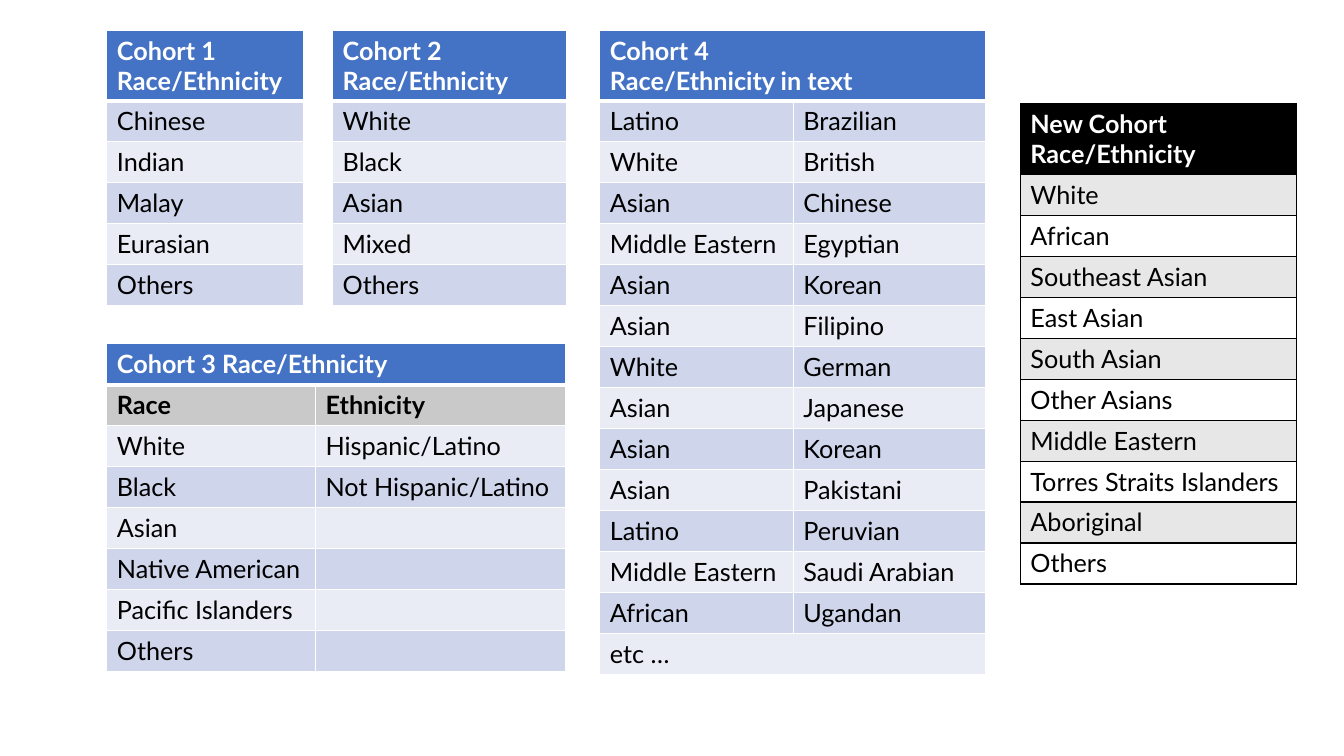
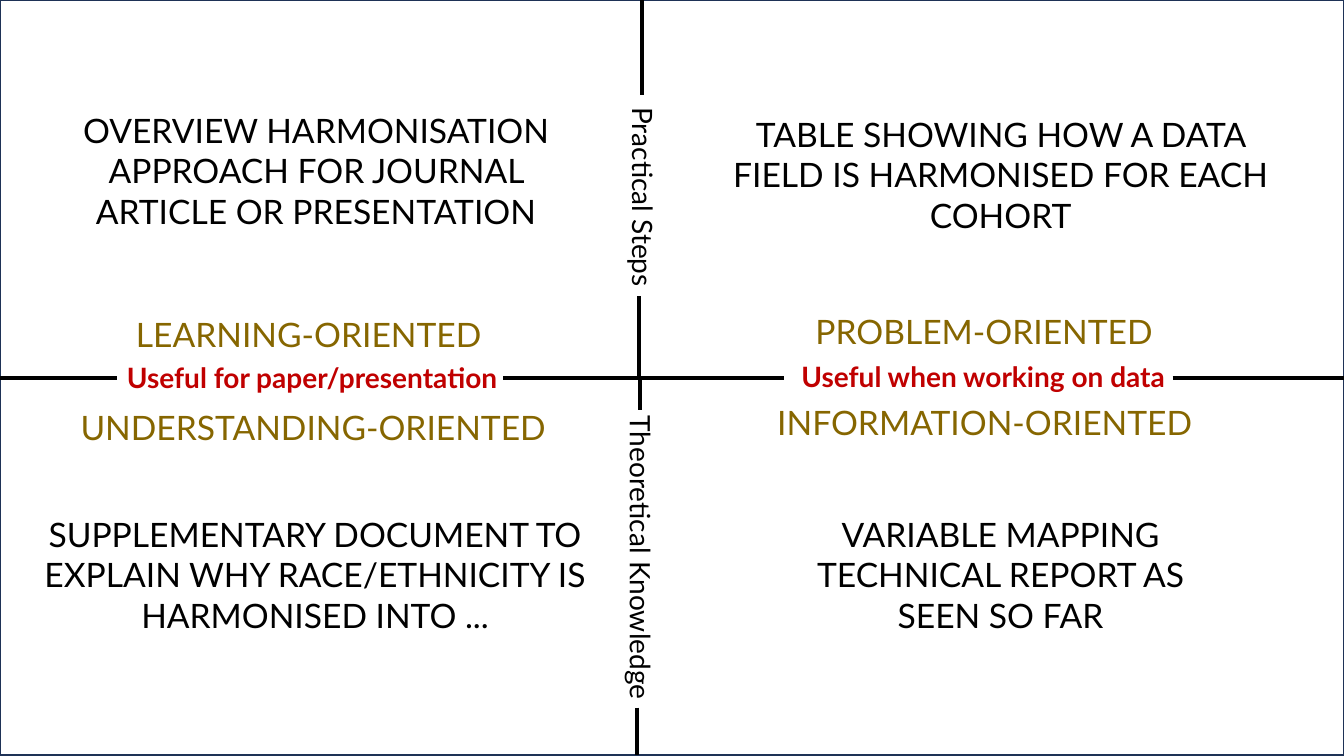
"""Build two slides: cohort race/ethnicity tables and a quadrant of document types."""
from dataclasses import dataclass

from lxml import etree
from pptx import Presentation
from pptx import util as u
from pptx.dml.color import RGBColor
from pptx.enum import shapes, text
from pptx.oxml import ns

WIDE, HIGH = 13.33, 7.5
FONT = "Lato"
BLACK, WHITE, GREY = "000000", "FFFFFF", "C9C9C9"
BLUE, NAVY, GOLD, RED = "4472C4", "1E3256", "866600", "C00000"
ROW, HEAD = 5.42, 9.33
MID = 50


@dataclass(frozen=True)
class Look:
    head: str
    odd: str
    even: str
    edge: str
    rule: float


@dataclass(frozen=True)
class Grid:
    left: float
    top: float
    cols: tuple[float, ...]
    title: tuple[str, ...]
    rows: tuple[tuple[str, ...], ...]
    look: Look
    tall: float = HEAD
    sub: bool = False


@dataclass(frozen=True)
class Style:
    size: int
    color: str
    high: float
    bold: bool = False
    mid: bool = False
    turn: int = 0


@dataclass(frozen=True)
class Label:
    words: str
    left: float
    top: float
    wide: float
    style: Style


BLUES = Look(BLUE, "CFD5EA", "E9EBF5", WHITE, 3)
DARK = Look(BLACK, "E7E7E7", WHITE, BLACK, 1)

BODY = Style(24, BLACK, 17.47, mid=True)
THEME = Style(24, GOLD, 6.67)
NOTE = Style(20, RED, 5.87, bold=True)
AXIS = Style(20, BLACK, 5.87, turn=90)


def single(*words: str) -> tuple[tuple[str, ...], ...]:
    return tuple((word,) for word in words)


GRIDS = (
    Grid(7.95, 4, (14.63,), ("Cohort 1 Race/Ethnicity",),
         single("Chinese", "Indian", "Malay", "Eurasian", "Others"), BLUES),
    Grid(7.95, 45.47, (15.53, 18.6), ("Cohort 3 Race/Ethnicity",), (
        ("Race", "Ethnicity"),
        ("White", "Hispanic/Latino"),
        ("Black", "Not Hispanic/Latino"),
        ("Asian", ""),
        ("Native American", ""),
        ("Pacific Islanders", ""),
        ("Others", ""),
    ), BLUES, ROW, True),
    Grid(24.75, 4, (17.4,), ("Cohort 2 Race/Ethnicity",),
         single("White", "Black", "Asian", "Mixed", "Others"), BLUES),
    Grid(75.92, 13.73, (20.55,), ("New Cohort", "Race/Ethnicity"),
         single("White", "African", "Southeast Asian", "East Asian",
                "South Asian", "Other Asians", "Middle Eastern",
                "Torres Straits Islanders", "Aboriginal", "Others"), DARK),
    Grid(44.63, 4, (14.4, 14.33), ("Cohort 4", "Race/Ethnicity in text"), (
        ("Latino", "Brazilian"),
        ("White", "British"),
        ("Asian", "Chinese"),
        ("Middle Eastern", "Egyptian"),
        ("Asian", "Korean"),
        ("Asian", "Filipino"),
        ("White", "German"),
        ("Asian", "Japanese"),
        ("Asian", "Korean"),
        ("Asian", "Pakistani"),
        ("Latino", "Peruvian"),
        ("Middle Eastern", "Saudi Arabian"),
        ("African", "Ugandan"),
        ("etc …",),
    ), BLUES),
)

LABELS = (
    Label("Practical Steps", 40.21, 23.47, 15.23, AXIS),
    Label("Theoretical Knowledge", 36.08, 71.33, 23.18, AXIS),
    Label("OVERVIEW HARMONISATION APPROACH FOR JOURNAL ARTICLE OR PRESENTATION",
          4.35, 13.87, 38.33, BODY),
    Label("TABLE SHOWING HOW A DATA FIELD IS HARMONISED FOR EACH COHORT",
          53.26, 14.4, 42.39, BODY),
    Label("SUPPLEMENTARY DOCUMENT TO EXPLAIN WHY RACE/ETHNICITY IS "
          "HARMONISED INTO ...", 2.25, 67.33, 42.39, BODY),
    Label("VARIABLE MAPPING TECHNICAL REPORT AS SEEN SO FAR",
          58.21, 67.33, 32.48, BODY),
    Label("LEARNING-ORIENTED", 9.38, 40.93, 27.38, THEME),
    Label("PROBLEM-ORIENTED", 59.94, 40.53, 31.36, THEME),
    Label("UNDERSTANDING-ORIENTED", 5.25, 53.2, 42.16, THEME),
    Label("INFORMATION-ORIENTED", 57.09, 52.53, 38.11, THEME),
    Label("Useful for paper/presentation", 8.7, 47.07, 29.41, NOTE),
    Label("Useful when working on data", 58.89, 46.93, 28.88, NOTE),
)

ACROSS = ((0, 8.7), (37.43, 47.56), (46.89, 58.36), (87.25, 100))
DOWN = ((47.79, 0, 12.53), (47.56, 39.2, MID),
        (47.64, 50.13, 54.27), (47.41, 93.6, 99.87))


def x(share: float) -> u.Length:
    return u.Inches(WIDE * share / 100)


def y(share: float) -> u.Length:
    return u.Inches(HIGH * share / 100)


def paint(part, color: str) -> None:
    part.solid()
    part.fore_color.rgb = RGBColor.from_string(color)


def write(frame, lines: tuple[str, ...], size: int, color: str,
          bold: bool = False, mid: bool = False) -> None:
    for i, line in enumerate(lines):
        para = frame.paragraphs[0] if i == 0 else frame.add_paragraph()
        para.alignment = text.PP_ALIGN.CENTER if mid else text.PP_ALIGN.LEFT
        if line:
            run = para.add_run()
            run.text = line
            run.font.name = FONT
            run.font.size = u.Pt(size)
            run.font.bold = bold
            run.font.color.rgb = RGBColor.from_string(color)


def edge(cell, color: str, top: float, low: float) -> None:
    props = cell._tc.get_or_add_tcPr()
    for side, width in (("L", 1), ("R", 1), ("T", top), ("B", low)):
        line = etree.SubElement(props, ns.qn(f"a:ln{side}"), w=str(u.Pt(width)))
        fill = etree.SubElement(line, ns.qn("a:solidFill"))
        etree.SubElement(fill, ns.qn("a:srgbClr"), val=color)


def draw_grid(slide, grid: Grid) -> None:
    count, span = len(grid.rows) + 1, len(grid.cols)
    high = grid.tall + ROW * len(grid.rows)
    table = slide.shapes.add_table(count, span, x(grid.left), y(grid.top),
                                   x(sum(grid.cols)), y(high)).table
    table.first_row = table.horz_banding = False
    for col, wide in zip(table.columns, grid.cols):
        col.width = x(wide)
    look = grid.look
    for r, row in enumerate(table.rows):
        row.height = y(ROW if r else grid.tall)
        words = grid.rows[r - 1] if r else (" ".join(grid.title),)
        sub = grid.sub and r == 1
        fill = (look.head if r == 0 else GREY if sub
                else look.odd if r % 2 else look.even)
        for c, cell in enumerate(row.cells):
            edge(cell, look.edge, look.rule if r == 1 else 1,
                 look.rule if r == 0 else 1)
            paint(cell.fill, fill)
            if c < len(words):
                lines = (words[c],) if r else grid.title
                write(cell.text_frame, lines, 18, BLACK if r else WHITE,
                      r == 0 or sub)
        if len(words) < span:
            table.cell(r, 0).merge(table.cell(r, span - 1))


def draw_label(slide, label: Label) -> None:
    style = label.style
    box = slide.shapes.add_textbox(x(label.left), y(label.top),
                                   x(label.wide), y(style.high))
    box.rotation = style.turn
    frame = box.text_frame
    frame.word_wrap = True
    frame.auto_size = text.MSO_AUTO_SIZE.SHAPE_TO_FIT_TEXT
    write(frame, (label.words,), style.size, style.color, style.bold, style.mid)


def draw_line(slide, x1: float, y1: float, x2: float, y2: float) -> None:
    line = slide.shapes.add_connector(shapes.MSO_CONNECTOR.STRAIGHT,
                                      x(x1), y(y1), x(x2), y(y2))
    paint(line.line.fill, BLACK)
    line.line.width = u.Pt(3)
    etree.SubElement(line._element.spPr, ns.qn("a:effectLst"))


def draw_frame(slide) -> None:
    rect = slide.shapes.add_shape(shapes.MSO_SHAPE.RECTANGLE,
                                  0, 0, x(100), y(99.87))
    rect.shadow.inherit = False
    paint(rect.fill, WHITE)
    paint(rect.line.fill, NAVY)
    rect.line.width = u.Pt(1)


def main() -> None:
    deck = Presentation()
    deck.slide_width, deck.slide_height = x(100), y(100)
    blank = deck.slide_layouts[6]

    cohorts = deck.slides.add_slide(blank)
    for grid in GRIDS:
        draw_grid(cohorts, grid)

    quads = deck.slides.add_slide(blank)
    draw_frame(quads)
    for start, end in ACROSS:
        draw_line(quads, start, MID, end, MID)
    for place, start, end in DOWN:
        draw_line(quads, place, start, place, end)
    for label in LABELS:
        draw_label(quads, label)

    deck.save("out.pptx")


if __name__ == "__main__":
    main()
